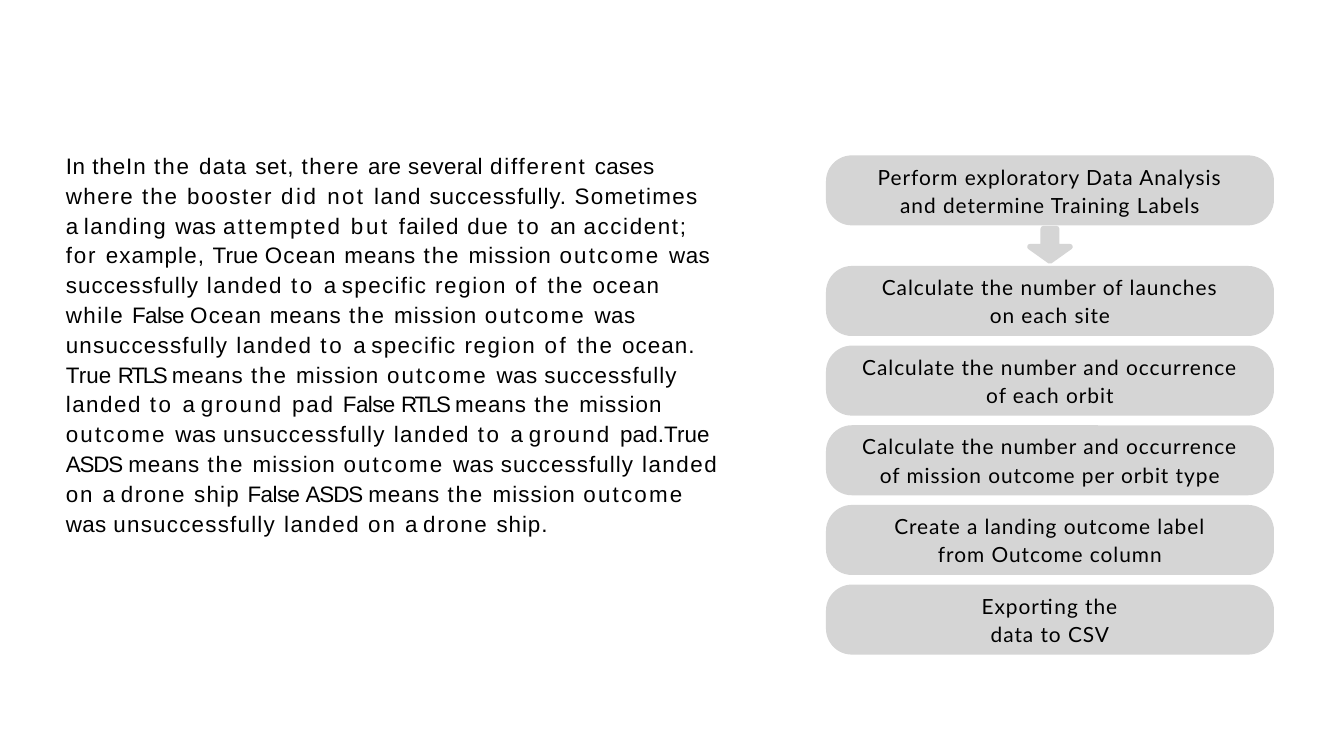
from pptx import Presentation
from pptx.dml.color import RGBColor
from pptx.enum.shapes import MSO_SHAPE
from pptx.enum.text import MSO_ANCHOR, PP_ALIGN
from pptx.util import Pt

BLACK = RGBColor(0x00, 0x00, 0x00)
GREY = RGBColor(0xD5, 0xD5, 0xD5)

BODY_LINES = [
    "In theIn the data set, there are several different cases",
    "where the booster did not land successfully. Sometimes",
    "a landing was attempted but failed due to an accident;",
    "for example, True Ocean means the mission outcome was",
    "successfully landed to a specific region of the ocean",
    "while False Ocean means the mission outcome was",
    "unsuccessfully landed to a specific region of the ocean.",
    "True RTLS means the mission outcome was successfully",
    "landed to a ground pad False RTLS means the mission",
    "outcome was unsuccessfully landed to a ground pad.True",
    "ASDS means the mission outcome was successfully landed",
    "on a drone ship False ASDS means the mission outcome",
    "was unsuccessfully landed on a drone ship.",
]
WORDS_BY_TRACKING = {
    -1.6: "RTLS",
    -0.8: "ASDS",
    -0.4: "a False",
    0.1: "True pad.True",
    0.2: "cases",
    0.3: "are several was",
    0.4: "In",
    0.5: "an",
    0.6: "set,",
    0.7: "theIn successfully. means ship.",
    0.8: "example, mission successfully ocean.",
    0.9: "data failed Ocean unsuccessfully ship",
    1.0: "land Sometimes specific ocean",
    1.1: "there where landed while",
    1.2: "booster landing due accident; region drone",
    1.3: "different pad",
    1.4: "the for on",
    1.6: "attempted outcome ground",
    1.7: "not",
    1.8: "did of",
    1.9: "but to",
}
BODY_TRACKING = {
    word: tracking for tracking, words in WORDS_BY_TRACKING.items() for word in words.split()
}
STEPS = [
    ("Perform exploratory Data Analysis", "and determine Training Labels"),
    ("Calculate the number of launches", "on each site"),
    ("Calculate the number and occurrence", "of each orbit"),
    ("Calculate the number and occurrence", "of mission outcome per orbit type"),
    ("Create a landing outcome label", "from Outcome column"),
    ("Exporting the", "data to CSV"),
]
STEP_TRACKING = 0.7
STEP_LEFT, STEP_WIDTH, STEP_HEIGHT = 590, 320, 50
FIRST_TOP, SECOND_TOP, STEP_PITCH = 111, 190, 56.9


def write_lines(frame, lines, font_name, size, line_spacing):
    frame.margin_left = frame.margin_right = frame.margin_top = frame.margin_bottom = 0
    frame.word_wrap = True
    para = frame.paragraphs[0]
    para.line_spacing = line_spacing
    for number, pieces in enumerate(lines):
        if number:
            para.add_line_break()
        for text, tracking in pieces:
            span = para.add_run()
            span.text = text
            span.font.name = font_name
            span.font.size = Pt(size)
            span.font.color.rgb = BLACK
            span._r.get_or_add_rPr().set("spc", str(round(tracking * 100)))
    return para


def add_grey_shape(kind, left, top, width, height):
    shape = page.shapes.add_shape(kind, Pt(left), Pt(top), Pt(width), Pt(height))
    shape.shadow.inherit = False
    shape.fill.solid()
    shape.fill.fore_color.rgb = GREY
    shape.line.fill.background()
    return shape


deck = Presentation()
deck.slide_width = Pt(960)
deck.slide_height = Pt(540)
page = deck.slides.add_slide(deck.slide_layouts[6])

body = page.shapes.add_textbox(Pt(47), Pt(106.5), Pt(533), Pt(281))
body_lines = [
    [(word + " ", BODY_TRACKING[word]) for word in line.split()] for line in BODY_LINES
]
write_lines(body.text_frame, body_lines, "Arial", 16, 1.11)

for index, step in enumerate(STEPS):
    top = FIRST_TOP if index == 0 else SECOND_TOP + (index - 1) * STEP_PITCH
    box = add_grey_shape(MSO_SHAPE.ROUNDED_RECTANGLE, STEP_LEFT, top, STEP_WIDTH, STEP_HEIGHT)
    box.adjustments[0] = 0.37
    step_lines = [[(text, STEP_TRACKING)] for text in step]
    para = write_lines(box.text_frame, step_lines, "Lato", 14.9, 1.12)
    para.alignment = PP_ALIGN.CENTER
    box.text_frame.vertical_anchor = MSO_ANCHOR.MIDDLE
    box.text_frame.margin_bottom = Pt(1.6)

arrow = add_grey_shape(MSO_SHAPE.DOWN_ARROW, 735.8, 163.4, 28.4, 23)
arrow.adjustments[0] = 0.33
arrow.adjustments[1] = 0.44
arrow.line.color.rgb = GREY
arrow.line.width = Pt(4.12)

deck.save("out.pptx")
